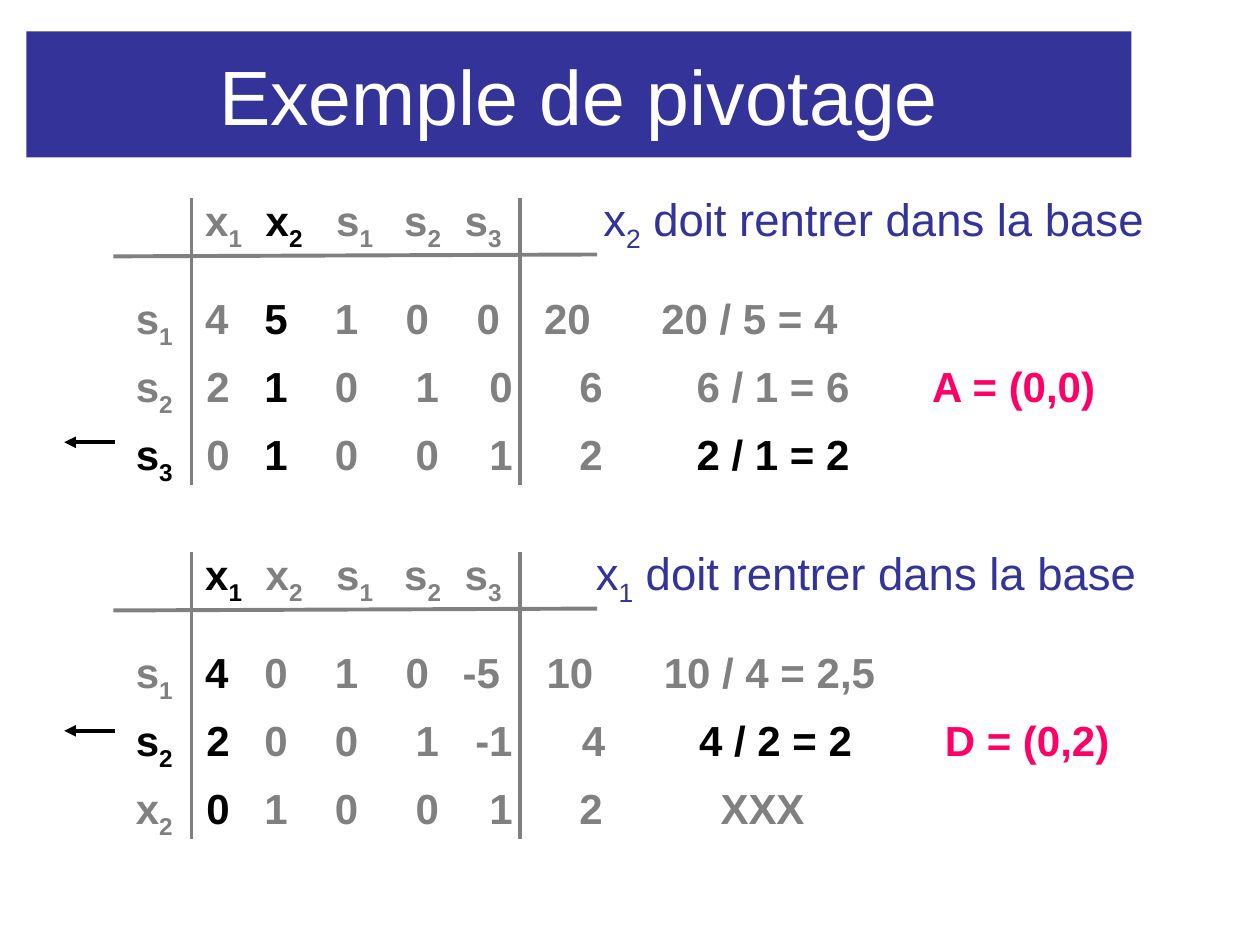
from pptx import Presentation
from pptx.dml.color import RGBColor
from pptx.enum.shapes import MSO_CONNECTOR, MSO_SHAPE
from pptx.enum.text import MSO_ANCHOR, PP_ALIGN
from pptx.oxml.ns import qn
from pptx.util import Inches, Pt
from lxml import etree

RECT = MSO_SHAPE.RECTANGLE
STRAIGHT = MSO_CONNECTOR.STRAIGHT
MIDDLE = MSO_ANCHOR.MIDDLE
CENTER = PP_ALIGN.CENTER

COLORS = {"navy": "333399", "white": "FFFFFF", "grey": "808080",
          "black": "000000", "pink": "FF0066"}
COLS, ROWS = 100, 75

MARKS = {
    "*": dict(color="black"),
    "!": dict(color="pink"),
    "~": dict(color="navy", size=26, bold=False),
}

HEAD = [5.5, 10.3, 15.9, 21.3, 26.1]
TIGHT = [5.5, 10.2, 15.8, 21.4, (28.9, "r")]
LOOSE = [5.6, 10.2, 15.8, 22.2, (29.9, "r")]

TABLEAUS = [
    (14.7, 35.1, [
        ("|x_1|*x_2|s_1|s_2|s_3|~x_2 doit rentrer dans la base", HEAD + [37.1]),
        ("s_1|4|*5|1|0|0|20|20 / 5 = 4", TIGHT + [32.4, 41.7]),
        ("s_2|2|*1|0|1|0|6|6 / 1 = 6|!A = (0,0)", LOOSE + [35.2, 44.5, 63.2]),
        ("*s_3|0|*1|0|0|1|2|*2 / 1 = 2", LOOSE + [35.2, 44.5]),
    ]),
    (42.8, 58, [
        ("|*x_1|x_2|s_1|s_2|s_3|~x_1 doit rentrer dans la base", HEAD + [36.5]),
        ("s_1|*4|0|1|0|-5|10|10 / 4 = 2,5", TIGHT + [32.6, 41.9]),
        ("*s_2|*2|0|0|1|-1|4|*4 / 2 = 2|!D = (0,2)", LOOSE + [35.4, 44.7, 64.2]),
        ("x_2|*0|1|0|0|1|2|XXX", LOOSE + [35.2, 46.4]),
    ]),
]
SPACE_BEFORE = [0, 22.5, 6, 6]


def add_run(p, text, size=24, color="grey", bold=True, sub=False):
    r = p.add_run()
    r.text = text
    r.font.name = "Arial"
    r.font.size = Pt(size)
    r.font.bold = bold
    r.font.color.rgb = RGBColor.from_string(COLORS[color])
    if sub:
        r._r.get_or_add_rPr().set("baseline", "-25000")


class Deck:
    def __init__(self, prs):
        self.prs = prs
        self.s = prs.slides.add_slide(prs.slide_layouts[6])

    def x(self, cols):
        return int(self.prs.slide_width * cols / COLS)

    def y(self, rows):
        return int(self.prs.slide_height * rows / ROWS)

    def banner(self, text, left, top, width, height):
        sp = self.s.shapes.add_shape(RECT, self.x(left), self.y(top),
                                     self.x(width), self.y(height))
        sp.shadow.inherit = False
        sp.fill.solid()
        sp.fill.fore_color.rgb = RGBColor.from_string(COLORS["navy"])
        sp.line.fill.background()
        tf = sp.text_frame
        tf.word_wrap = True
        tf.vertical_anchor = MIDDLE
        p = tf.paragraphs[0]
        p.alignment = CENTER
        add_run(p, text, size=44, color="white", bold=False)

    def line(self, x1, y1, x2, y2, color="grey", arrow=False):
        c = self.s.shapes.add_connector(STRAIGHT, self.x(x1), self.y(y1),
                                        self.x(x2), self.y(y2))
        c.line.color.rgb = RGBColor.from_string(COLORS[color])
        c.line.width = Pt(2.25)
        if arrow:
            etree.SubElement(c.line._get_or_add_ln(), qn("a:tailEnd"), type="triangle")
        etree.SubElement(c._element.spPr, qn("a:effectLst"))

    def tabs(self, p, stops):
        lst = etree.SubElement(p._p.get_or_add_pPr(), qn("a:tabLst"))
        for stop in stops:
            pos, align = stop if isinstance(stop, tuple) else (stop, "l")
            etree.SubElement(lst, qn("a:tab"), pos=str(self.x(pos)), algn=align)

    def row(self, p, cells, stops, before):
        self.tabs(p, stops)
        if before:
            p.space_before = Pt(before)
        for i, cell in enumerate(cells.split("|")):
            style = MARKS.get(cell[:1], {})
            base, _, rest = cell.lstrip("*!~").partition("_")
            if i:
                add_run(p, "\t")
            for text, sub in ((base, False), (rest[:1], True), (rest[1:], False)):
                if text:
                    add_run(p, text, sub=sub, **style)

    def tableau(self, top, rows):
        box = self.s.shapes.add_textbox(self.x(9.8), self.y(top), self.x(88.2), self.y(24))
        tf = box.text_frame
        tf.word_wrap = True
        for i, (cells, stops) in enumerate(rows):
            p = tf.add_paragraph() if i else tf.paragraphs[0]
            self.row(p, cells, stops, SPACE_BEFORE[i])
        self.line(9, top + 5.65, 47.4, top + 5.5)
        for x in (15.2, 41.3):
            self.line(x, top + 1, x, top + 23.8)


def main():
    prs = Presentation()
    prs.slide_width, prs.slide_height = Inches(10), Inches(7.5)
    deck = Deck(prs)
    deck.banner("Exemple de pivotage", 2.1, 2.5, 87.7, 10)
    for top, arrow_y, rows in TABLEAUS:
        deck.tableau(top, rows)
        deck.line(9.1, arrow_y, 5.1, arrow_y, color="black", arrow=True)
    prs.save("out.pptx")


if __name__ == "__main__":
    main()
